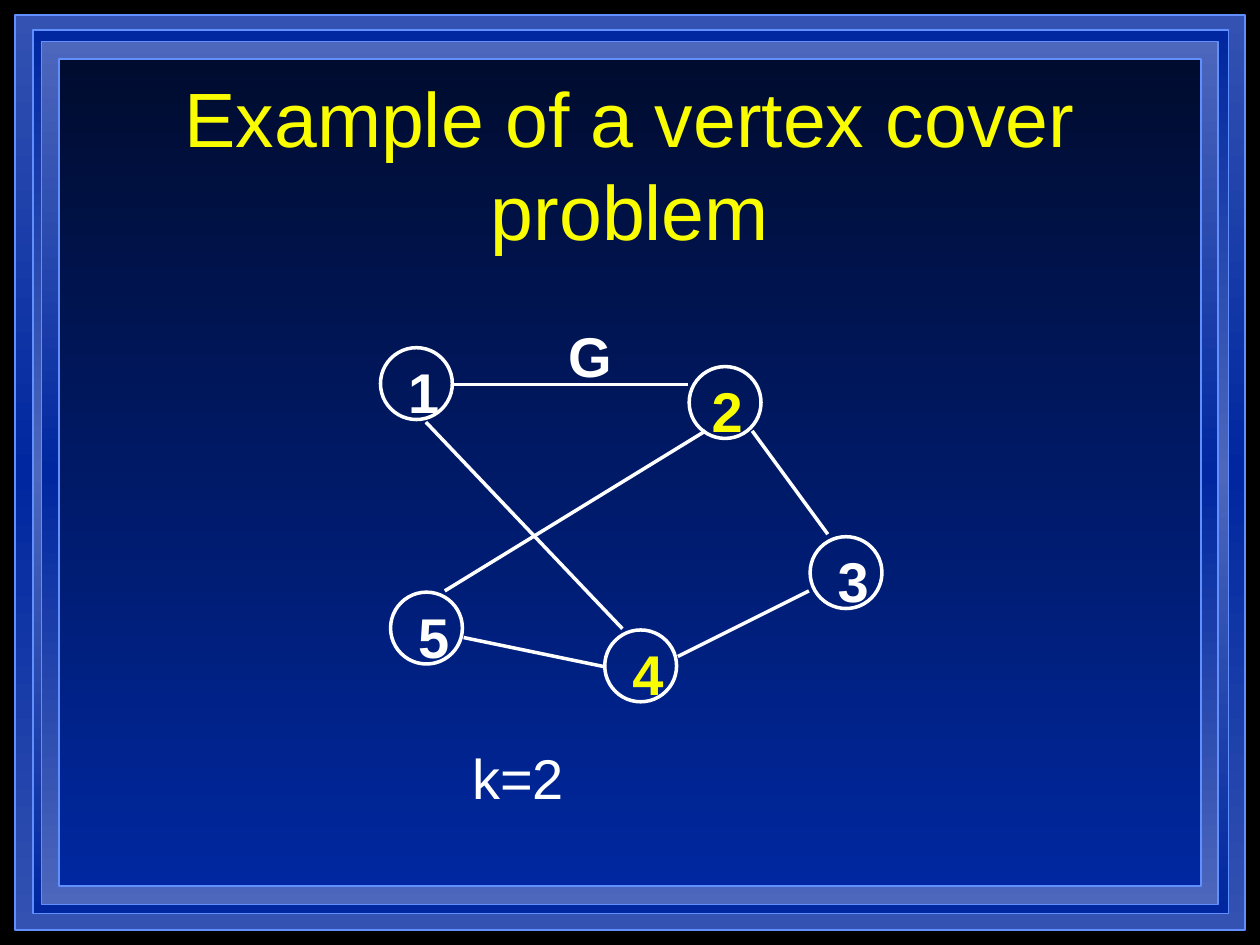
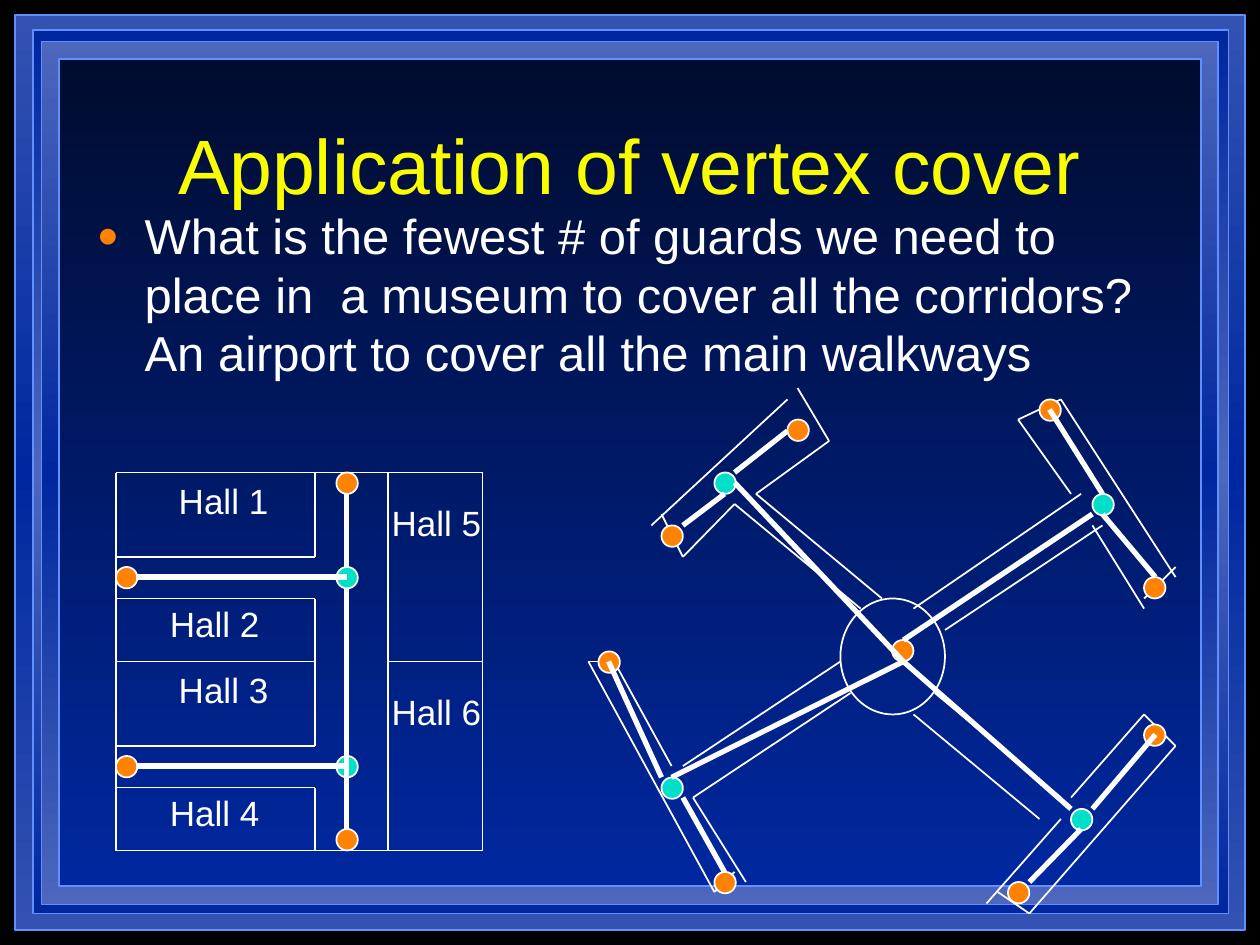
"""Build two slides about the vertex cover problem and its applications."""
import dataclasses

import lxml.etree
import pptx
import pptx.dml.color
import pptx.enum.shapes
import pptx.enum.text
import pptx.oxml.ns
import pptx.util

Inches = pptx.util.Inches
Pt = pptx.util.Pt
qn = pptx.oxml.ns.qn


@dataclasses.dataclass(frozen=True)
class Theme:
    """Colours, type sizes and line widths shared by the slides."""
    font: str = "Arial"
    backdrop: str = "000000"
    text: str = "FFFFFF"
    accent: str = "FAFD00"
    guard: str = "FF8203"
    junction: str = "00DFCA"
    frame_edge: str = "618FFD"
    title_size: int = 44
    body_size: int = 28
    graph_size: int = 32
    hall_size: int = 20
    wall: int = 1
    edge: int = 2
    corridor: int = 3


THEME = Theme()

FRAME_BANDS = [
    ((0.12, 0.12, 9.76, 7.26), ("3352B2", "00279F", "3352B2")),
    ((0.26, 0.24, 9.49, 7.01), ("00279F", "4C67BC", "00279F")),
    ((0.33, 0.33, 9.34, 6.85), ("4C67BC", "00279F", "4C67BC")),
    ((0.47, 0.47, 9.06, 6.56), ("000C2F", "00279F")),
]

NODE_SIZE = 0.57
COVER = {"2", "4"}
NODES = {"1": (3.02, 2.76), "2": (5.47, 2.91), "3": (6.43, 4.26),
         "4": (4.8, 5), "5": (3.1, 4.7)}
GRAPH_EDGES = [
    (5.97, 3.42, 6.57, 4.24), (6.42, 4.69, 5.38, 5.21), (3.68, 5.06, 4.79, 5.29),
    (3.38, 3.35, 4.94, 4.99), (3.53, 4.69, 5.6, 3.42), (3.6, 3.05, 5.46, 3.05),
]

DOT_SIZE = 0.17
WING_HEIGHT = 1.5
MUSEUM_LEFT, HALL_RIGHT, EAST_LEFT, MUSEUM_RIGHT = 0.92, 2.5, 3.08, 3.83
MUSEUM_TOP = 3.75
CORRIDOR_X = 2.75
WINGS = [("Hall 1", "Hall 2", "Hall 5"), ("Hall 3", "Hall 4", "Hall 6")]
MUSEUM_GUARDS = [(2.67, 3.75), (0.92, 4.5), (2.67, 6.58), (0.92, 6)]
MUSEUM_JUNCTIONS = [(2.67, 4.5), (2.67, 6)]
MUSEUM_CORRIDORS = [
    (CORRIDOR_X, 3.92, CORRIDOR_X, 4.5), (CORRIDOR_X, 4.67, CORRIDOR_X, 6.08),
    (CORRIDOR_X, 6.08, CORRIDOR_X, 6.58), (1.08, 6.08, CORRIDOR_X, 6.08),
    (1.08, 4.58, CORRIDOR_X, 4.58),
]

AIRPORT_WALLS = [
    (7.42, 5.5, 8.42, 6.33), (7.25, 5.67, 8.25, 6.5), (5.83, 4, 6.83, 4.83),
    (6, 3.92, 7, 4.75), (6.67, 5.25, 5.42, 6.08), (6.75, 5.5, 5.5, 6.33),
    (7.5, 5, 8.75, 4.17), (7.25, 4.83, 8.58, 3.92), (6.58, 3.5, 6, 3.92),
    (5.83, 4, 5.42, 4.42), (6.25, 3.17, 5.17, 4.17), (5.25, 4.08, 5.42, 4.42),
    (6.33, 3.08, 6.58, 3.5), (4.67, 5.25, 5.67, 7.08), (4.83, 5.17, 5.33, 6.08),
    (5.5, 6.33, 5.92, 7), (9.08, 5.67, 8.5, 6.33), (8.42, 6.5, 7.83, 7.17),
    (9.33, 5.92, 8.17, 7.25), (9.08, 5.67, 9.33, 5.92), (8.17, 7.25, 7.92, 7.08),
    (4.83, 5.25, 4.67, 5.25), (5.67, 7.08, 5.83, 6.92), (8.67, 4.17, 9.08, 4.83),
    (8.08, 3.33, 8.5, 3.92), (8.42, 3.17, 9.33, 4.58), (8.42, 3.17, 8.08, 3.33),
    (9.33, 4.5, 9.08, 4.75),
]
AIRPORT_GUARDS = [(5.25, 4.17), (4.75, 5.17), (5.67, 6.92), (7.08, 5.08), (9.08, 4.58),
                  (8.25, 3.17), (6.25, 3.33), (8, 7), (9.08, 5.75)]
AIRPORT_JUNCTIONS = [(5.67, 3.75), (5.25, 6.17), (8.67, 3.92), (8.5, 6.42)]
AIRPORT_WALKWAYS = [
    (5.42, 6.33, 5.75, 6.92), (4.83, 5.25, 5.25, 6.17), (7.17, 5.25, 5.33, 6.17),
    (6.25, 3.42, 5.83, 3.75), (5.75, 3.92, 5.42, 4.17), (5.83, 3.83, 7.17, 5.25),
    (8.67, 4.08, 7.17, 5.08), (8.5, 6.42, 7.17, 5.25), (9.17, 5.83, 8.67, 6.42),
    (8.58, 6.58, 8.17, 7), (8.33, 3.25, 8.75, 3.92), (8.75, 4.08, 9.17, 4.58),
]


def rgb(colour):
    """Return the colour object for a hex string."""
    return pptx.dml.color.RGBColor.from_string(colour)


def add_outline(slide, kind, box, colour, width):
    """Add an unfilled preset shape with a plain outline."""
    outline = slide.shapes.add_shape(kind, *map(Inches, box))
    outline.shadow.inherit = False
    outline.fill.background()
    outline.line.color.rgb = rgb(colour)
    outline.line.width = Pt(width)
    return outline


def add_circle(slide, box, width, fill=None):
    """Add an ellipse with a light outline and an optional fill."""
    circle = add_outline(slide, pptx.enum.shapes.MSO_SHAPE.OVAL, box, THEME.text, width)
    if fill:
        circle.fill.solid()
        circle.fill.fore_color.rgb = rgb(fill)


def add_band(slide, box, colours):
    """Add a frame rectangle with evenly spaced colours from top to bottom."""
    band = add_outline(slide, pptx.enum.shapes.MSO_SHAPE.RECTANGLE, box, THEME.frame_edge, 1)
    band.fill.gradient()
    band.fill.gradient_angle = 270
    stops = next(band.element.iter(qn("a:gsLst")))
    for stop in list(stops):
        stops.remove(stop)
    for index, colour in enumerate(colours):
        position = str(100000 * index // (len(colours) - 1))
        stop = lxml.etree.SubElement(stops, qn("a:gs"), pos=position)
        lxml.etree.SubElement(stop, qn("a:srgbClr"), val=colour)


def add_lines(slide, segments, width):
    """Add straight light lines given as x1, y1, x2, y2."""
    for segment in segments:
        line = slide.shapes.add_connector(
            pptx.enum.shapes.MSO_CONNECTOR.STRAIGHT, *map(Inches, segment))
        line.line.color.rgb = rgb(THEME.text)
        line.line.width = Pt(width)
        properties = line.element.find(qn("p:spPr"))
        lxml.etree.SubElement(properties, qn("a:effectLst"))


def add_text(slide, box, text, size, colour=THEME.text, bold=False, wrap=False):
    """Add a one-paragraph text box and return its frame."""
    frame = slide.shapes.add_textbox(*map(Inches, box)).text_frame
    frame.word_wrap = wrap
    sizing = pptx.enum.text.MSO_AUTO_SIZE
    frame.auto_size = sizing.NONE if wrap else sizing.SHAPE_TO_FIT_TEXT
    paragraph = frame.paragraphs[0]
    paragraph.text = text
    paragraph.font.name = THEME.font
    paragraph.font.size = Pt(size)
    paragraph.font.bold = bold
    paragraph.font.color.rgb = rgb(colour)
    return frame


def add_bullet(slide, box, text):
    """Add a body paragraph with a hanging coloured bullet."""
    paragraph = add_text(slide, box, text, THEME.body_size, wrap=True).paragraphs[0]
    paragraph.space_before = Pt(7)
    properties = paragraph._p.get_or_add_pPr()
    properties.set("marL", str(Inches(0.38)))
    properties.set("indent", str(Inches(-0.38)))
    defaults = properties.find(qn("a:defRPr"))
    colour = lxml.etree.Element(qn("a:buClr"))
    lxml.etree.SubElement(colour, qn("a:srgbClr"), val=THEME.guard)
    size = lxml.etree.Element(qn("a:buSzPct"), val="75000")
    face = lxml.etree.Element(qn("a:buFont"), typeface=THEME.font)
    mark = lxml.etree.Element(qn("a:buChar"), char="●")
    for part in (colour, size, face, mark):
        defaults.addprevious(part)


def add_framed_slide(deck, title):
    """Add a slide with the shared backdrop, frame and title."""
    slide = deck.slides.add_slide(deck.slide_layouts[6])
    slide.background.fill.solid()
    slide.background.fill.fore_color.rgb = rgb(THEME.backdrop)
    for box, colours in FRAME_BANDS:
        add_band(slide, box, colours)
    frame = add_text(slide, (0.75, 0.67, 8.5, 1.25), title, THEME.title_size,
                     THEME.accent, wrap=True)
    frame.vertical_anchor = pptx.enum.text.MSO_ANCHOR.MIDDLE
    frame.paragraphs[0].alignment = pptx.enum.text.PP_ALIGN.CENTER
    return slide


def add_node(slide, name, left, top):
    """Add a graph vertex, its number highlighted when in the cover."""
    colour = THEME.accent if name in COVER else THEME.text
    shift = 0.08 if name == "2" else 0.12
    add_text(slide, (left + shift, top + 0.03, 0.45, 0.63), name,
             THEME.graph_size, colour, bold=True)
    add_circle(slide, (left, top, NODE_SIZE, NODE_SIZE), THEME.edge)


def add_dots(slide, positions, colour):
    """Add small filled dots at the given top-left positions."""
    for left, top in positions:
        add_circle(slide, (left, top, DOT_SIZE, DOT_SIZE), THEME.wall, colour)


def add_wing(slide, top, halls):
    """Add the walls and hall names of one museum wing."""
    bottom = top + WING_HEIGHT
    upper, lower = top + 0.67, top + 1
    walls = [(x, top, x, bottom) for x in (MUSEUM_LEFT, EAST_LEFT, MUSEUM_RIGHT)]
    walls += [(MUSEUM_LEFT, y, HALL_RIGHT, y) for y in (upper, lower)]
    walls += [(HALL_RIGHT, top, HALL_RIGHT, upper), (HALL_RIGHT, lower, HALL_RIGHT, bottom)]
    add_lines(slide, walls, THEME.wall)
    for hall, (left, drop) in zip(halls, [(1.32, 0.01), (1.25, 0.98), (3.01, 0.18)]):
        add_text(slide, (left, top + drop, 0.91, 0.44), hall, THEME.hall_size)


def add_museum(slide):
    """Add the museum plan with its corridors and guards."""
    for index, halls in enumerate(WINGS):
        add_wing(slide, MUSEUM_TOP + index * WING_HEIGHT, halls)
    middle = MUSEUM_TOP + WING_HEIGHT
    base = middle + WING_HEIGHT
    add_lines(slide, [(MUSEUM_LEFT, y, MUSEUM_RIGHT, y) for y in (MUSEUM_TOP, base)],
              THEME.wall)
    add_lines(slide, [(MUSEUM_LEFT, middle, HALL_RIGHT, middle),
                      (EAST_LEFT, middle, MUSEUM_RIGHT, middle)], THEME.wall)
    add_dots(slide, MUSEUM_GUARDS, THEME.guard)
    add_dots(slide, MUSEUM_JUNCTIONS, THEME.junction)
    add_lines(slide, MUSEUM_CORRIDORS, THEME.corridor)


def add_airport(slide):
    """Add the airport plan with its walkways and guards."""
    add_circle(slide, (6.67, 4.75, 0.83, 0.92), THEME.wall)
    add_lines(slide, AIRPORT_WALLS, THEME.wall)
    add_dots(slide, AIRPORT_GUARDS, THEME.guard)
    add_dots(slide, AIRPORT_JUNCTIONS, THEME.junction)
    add_lines(slide, AIRPORT_WALKWAYS, THEME.corridor)


def main():
    """Build and save the deck."""
    deck = pptx.Presentation()
    deck.slide_width, deck.slide_height = Inches(10), Inches(7.5)

    example = add_framed_slide(deck, "Example of a vertex cover problem")
    for name, (left, top) in NODES.items():
        add_node(example, name, left, top)
    add_lines(example, GRAPH_EDGES, THEME.edge)
    add_text(example, (4.41, 2.5, 0.55, 0.63), "G", THEME.graph_size, bold=True)
    add_text(example, (3.65, 5.85, 0.93, 0.64), "k=2", THEME.graph_size)

    application = add_framed_slide(deck, "Application of vertex cover")
    add_bullet(application, (0.67, 1.58, 8.5, 1.5),
               "What is the fewest # of guards we need to place in  a museum to cover "
               "all the corridors? An airport to cover all the main walkways")
    add_museum(application)
    add_airport(application)

    deck.save("out.pptx")


if __name__ == "__main__":
    main()
